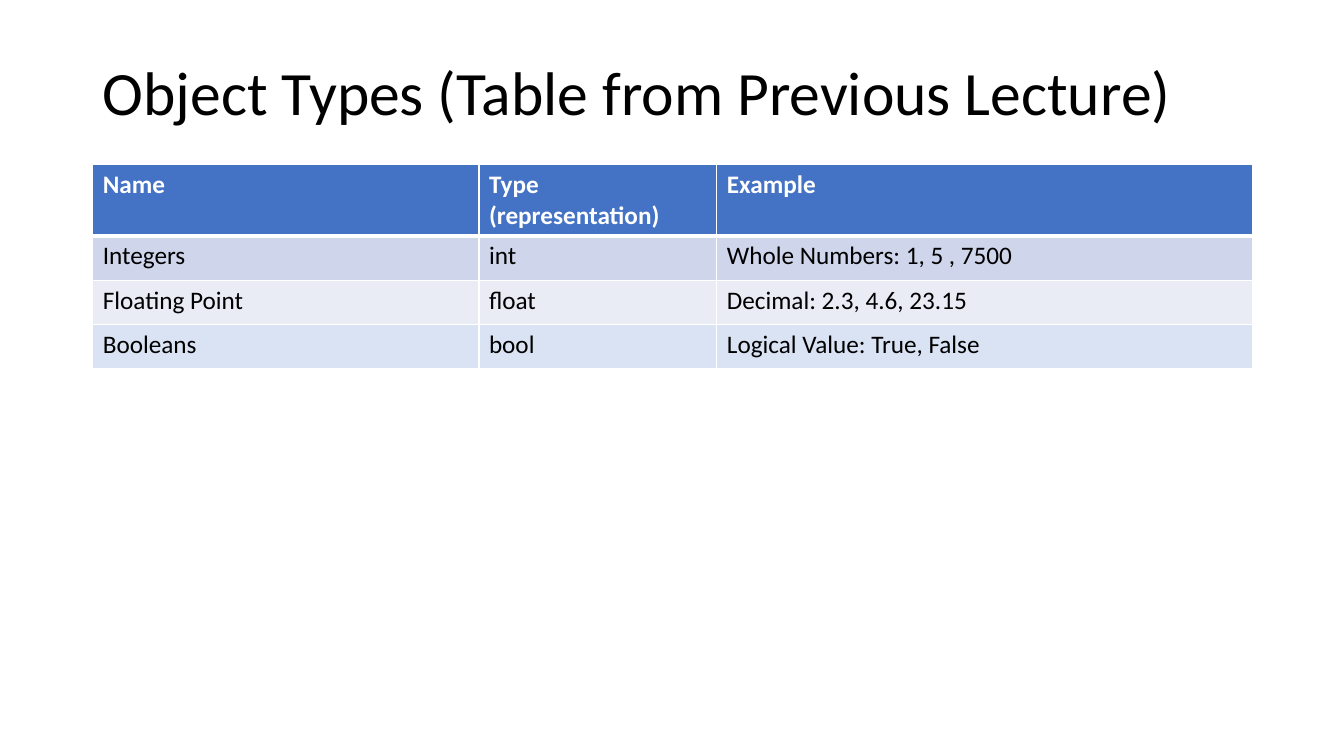
from lxml import etree
from pptx import Presentation
from pptx import util as u
from pptx.dml.color import RGBColor
from pptx.enum import text
from pptx.oxml import ns

COLORS = {
    "black": "000000",
    "white": "FFFFFF",
    "header": "4472C4",
    "integers": "CFD5EA",
    "floats": "E9EBF5",
    "booleans": "DAE3F3",
}
OBJECT_TYPES = [
    ("header", ("Name", "Type (representation)", "Example")),
    ("integers", ("Integers", "int", "Whole Numbers: 1, 5 , 7500")),
    ("floats", ("Floating Point", "float", "Decimal: 2.3, 4.6, 23.15")),
    ("booleans", ("Booleans", "bool", "Logical Value: True, False")),
]
COLUMN_WIDTHS = (3.83, 2.36, 5.31)
ROW_HEIGHTS = (0.7, 0.44, 0.44, 0.44)


class SlideBuilder:
    """Hold the slide style and add each kind of element to the current slide."""

    font_name = "Calibri"
    left, width = u.Inches(0.92), u.Inches(11.5)

    def __init__(self, presentation):
        self.slide = presentation.slides.add_slide(presentation.slide_layouts[5])

    def style(self, paragraph, size, color, bold=False):
        font = paragraph.font
        font.name, font.size, font.bold = self.font_name, u.Pt(size), bold
        font.color.rgb = RGBColor.from_string(COLORS[color])

    def title(self, wording, top, height):
        shape = self.slide.shapes.title
        shape.left, shape.top = self.left, u.Inches(top)
        shape.width, shape.height = self.width, u.Inches(height)
        frame = shape.text_frame
        frame.text = wording
        frame.word_wrap = True
        frame.auto_size = text.MSO_AUTO_SIZE.NONE
        frame.vertical_anchor = text.MSO_ANCHOR.MIDDLE
        paragraph = frame.paragraphs[0]
        paragraph.alignment = text.PP_ALIGN.LEFT
        paragraph.line_spacing = 0.9
        self.style(paragraph, 44, "black")

    def borders(self, cell, top, bottom):
        properties = cell._tc.get_or_add_tcPr()
        for side, points in (("L", 1), ("R", 1), ("T", top), ("B", bottom)):
            line = etree.SubElement(properties, ns.qn(f"a:ln{side}"), w=str(u.Pt(points)))
            fill = etree.SubElement(line, ns.qn("a:solidFill"))
            etree.SubElement(fill, ns.qn("a:srgbClr"), val=COLORS["white"])

    def table(self, rows, column_widths, row_heights, top):
        table = self.slide.shapes.add_table(
            len(rows), len(column_widths), self.left, u.Inches(top),
            self.width, u.Inches(sum(row_heights)),
        ).table
        for column, width in zip(table.columns, column_widths):
            column.width = u.Inches(width)
        for index, (color, wordings) in enumerate(rows):
            table.rows[index].height = u.Inches(row_heights[index])
            header = index == 0
            for cell, wording in zip(table.rows[index].cells, wordings):
                self.borders(cell, 3 if index == 1 else 1, 3 if header else 1)
                cell.fill.solid()
                cell.fill.fore_color.rgb = RGBColor.from_string(COLORS[color])
                cell.text = wording
                self.style(cell.text_frame.paragraphs[0], 18,
                           "white" if header else "black", header)


def main():
    presentation = Presentation()
    presentation.slide_width = u.Inches(13.33)
    presentation.slide_height = u.Inches(7.5)
    builder = SlideBuilder(presentation)
    builder.title("Object Types (Table from Previous Lecture)", 0.4, 1.09)
    builder.table(OBJECT_TYPES, COLUMN_WIDTHS, ROW_HEIGHTS, 1.63)
    presentation.save("out.pptx")


if __name__ == "__main__":
    main()
